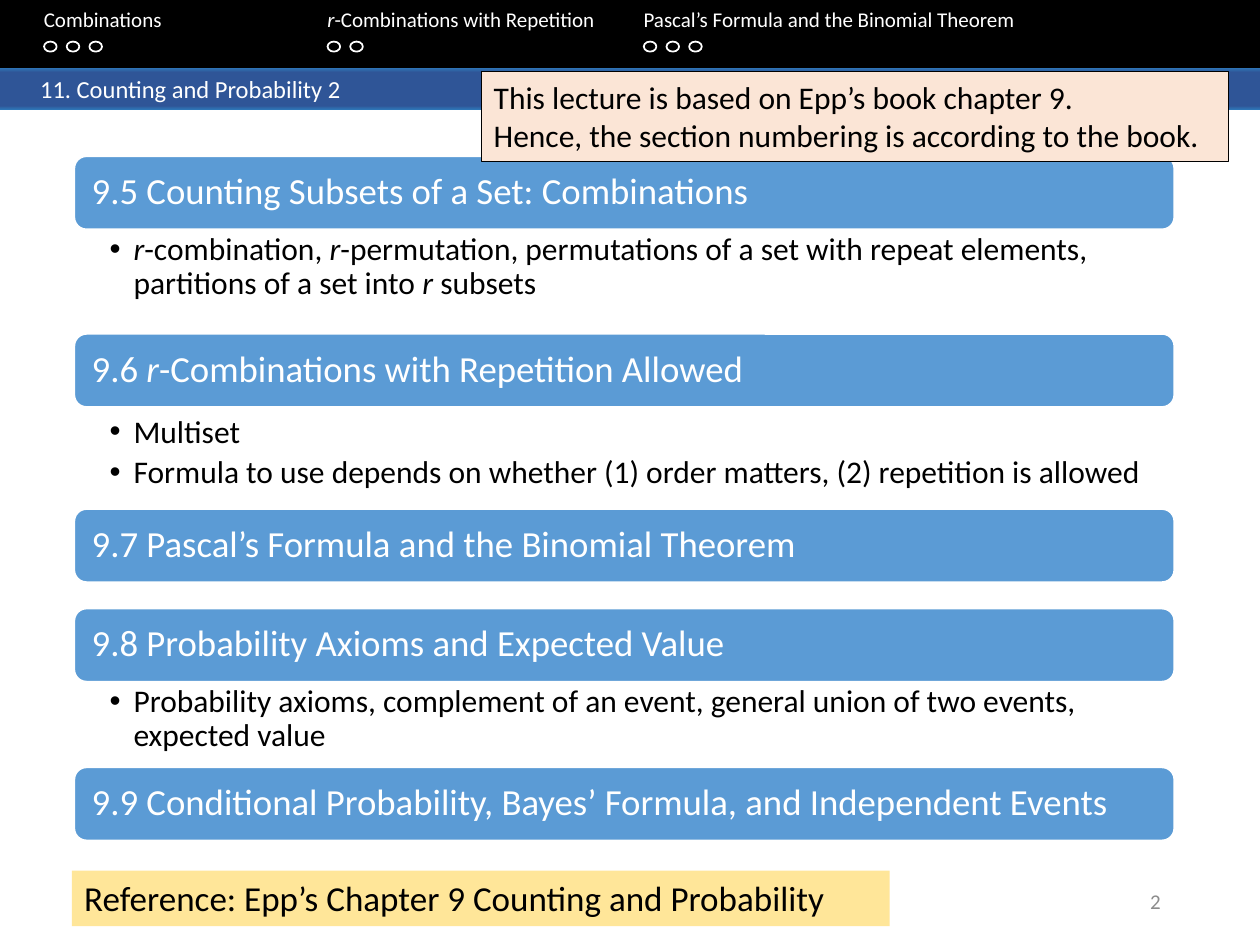
from lxml import etree
from pptx import Presentation
from pptx.dml.color import RGBColor
from pptx.enum.shapes import MSO_SHAPE
from pptx.enum.text import MSO_ANCHOR, PP_ALIGN
from pptx.oxml import parse_xml
from pptx.oxml.ns import nsdecls, qn
from pptx.util import Inches, Pt

RECT, ROUND, OVAL = MSO_SHAPE.RECTANGLE, MSO_SHAPE.ROUNDED_RECTANGLE, MSO_SHAPE.OVAL
TOP, MIDDLE = MSO_ANCHOR.TOP, MSO_ANCHOR.MIDDLE
LEFT, RIGHT = PP_ALIGN.LEFT, PP_ALIGN.RIGHT

BLACK = RGBColor(0x00, 0x00, 0x00)
WHITE = RGBColor(0xFF, 0xFF, 0xFF)
GREY = RGBColor(0x8C, 0x8C, 0x8C)
BAR_BLUE = RGBColor(0x5B, 0x9B, 0xD5)
EDGE_BLUE = RGBColor(0x2E, 0x75, 0xB6)
DEEP_BLUE = RGBColor(0x2F, 0x55, 0x97)
YELLOW = RGBColor(0xFF, 0xE6, 0x99)
PEACH = RGBColor(0xFB, 0xE5, 0xD6)

# The grid has 100 columns and 75 rows, each a tenth of an inch
COLS, ROWS = 100, 75
CELL = Inches(0.1)
PLAIN_INSETS = (1, 0.5, 1, 0.5)


def grid(n):
    return round(n * CELL)


class Deck:
    font = "Calibri"

    def __init__(self):
        self.prs = Presentation()
        self.prs.slide_width, self.prs.slide_height = grid(COLS), grid(ROWS)
        self.s = self.prs.slides.add_slide(self.prs.slide_layouts[6])

    def shape(self, kind, box, fill=None, line=None, width=1):
        sp = self.s.shapes.add_shape(kind, *map(grid, box))
        sp.shadow.inherit = False
        if fill is None:
            sp.fill.background()
        else:
            sp.fill.solid()
            sp.fill.fore_color.rgb = fill
        if line is None:
            sp.line.fill.background()
        else:
            sp.line.color.rgb = line
            sp.line.width = Pt(width)
        return sp

    def gradient(self, sp, stops):
        """Fill a shape from top to bottom with (percent, colour) stops."""
        sp.fill.gradient()
        sp.fill.gradient_angle = 270
        gs_lst = sp.element.spPr.find(qn("a:gradFill")).find(qn("a:gsLst"))
        for gs in list(gs_lst):
            gs_lst.remove(gs)
        for percent, colour in stops:
            gs_lst.append(parse_xml(
                f'<a:gs {nsdecls("a")} pos="{percent * 1000}">'
                f'<a:srgbClr val="{colour}"/></a:gs>'))

    def textbox(self, box):
        return self.s.shapes.add_textbox(*map(grid, box))

    def add_text(self, sp, lines, size, colour=BLACK, anchor=TOP, align=LEFT,
                 insets=PLAIN_INSETS, tabs=(), bullet=False, spacing=None):
        """Put lines into a shape; text between asterisks is italic."""
        tf = sp.text_frame
        sides = ("margin_left", "margin_top", "margin_right", "margin_bottom")
        layout = dict(zip(sides, map(grid, insets)),
                      word_wrap=True, vertical_anchor=anchor)
        for name, value in layout.items():
            setattr(tf, name, value)
        for i, line in enumerate(lines):
            p = tf.paragraphs[0] if i == 0 else tf.add_paragraph()
            p.alignment = align
            if bullet:
                self.bullet(p)
            if tabs:
                self.tabs(p, tabs)
            if spacing:
                p.line_spacing = spacing
            for j, part in enumerate(line.split("*")):
                if part:
                    r = p.add_run()
                    r.text = part
                    style = dict(name=self.font, size=Pt(size), italic=j % 2 == 1)
                    for name, value in style.items():
                        setattr(r.font, name, value)
                    r.font.color.rgb = colour

    def bullet(self, p):
        p.space_after = Pt(3.6)
        pPr = p._p.get_or_add_pPr()
        pPr.set("marL", str(grid(1.9)))
        pPr.set("indent", str(grid(-1.9)))
        etree.SubElement(pPr, qn("a:buFont")).set("typeface", "Arial")
        etree.SubElement(pPr, qn("a:buChar")).set("char", "•")

    def tabs(self, p, stops):
        tab_list = etree.SubElement(p._p.get_or_add_pPr(), qn("a:tabLst"))
        for stop in stops:
            tab = etree.SubElement(tab_list, qn("a:tab"))
            tab.set("pos", str(grid(stop)))
            tab.set("algn", "l")

    def section(self, top, title, points=(), gap=0):
        """Draw a section bar, with its bullet points below."""
        height = 5.8
        bar = self.shape(ROUND, (5.9, top, 87.3, height), BAR_BLUE, WHITE)
        self.add_text(bar, [title], 21, WHITE, MIDDLE,
                      insets=(1.1, 0.9, 1.1, 0.9), spacing=0.9)
        if points:
            body = self.textbox((5.9, top + height + gap, 87.3, 6.2))
            self.add_text(body, points, 18, insets=(2.8, 0.3, 1.4, 0.3),
                          bullet=True, spacing=0.9)


def main():
    deck = Deck()

    # Chapter band
    band = deck.shape(RECT, (0, 5.4, COLS, 3.3), DEEP_BLUE)
    deck.gradient(band, [(0, EDGE_BLUE), (11, DEEP_BLUE),
                         (91, DEEP_BLUE), (100, EDGE_BLUE)])
    deck.add_text(band, ["\t11. Counting and Probability 2"], 14, WHITE, tabs=[2.2])

    # Slide number
    number = deck.textbox((70.6, 69.5, 22.5, 4))
    deck.add_text(number, ["2"], 12, GREY, MIDDLE, RIGHT)

    # Outline: top row, title, bullet points, gap above the points
    sections = [
        (12.4, "9.5 Counting Subsets of a Set: Combinations",
         ["*r*-combination, *r*-permutation, permutations of a set with repeat "
          "elements, partitions of a set into *r* subsets"], 0),
        (26.5, "9.6 *r*-Combinations with Repetition Allowed",
         ["Multiset", "Formula to use depends on whether (1) order matters, "
          "(2) repetition is allowed"], 0.4),
        (40.4, "9.7 Pascal’s Formula and the Binomial Theorem", [], 0),
        (48.3, "9.8 Probability Axioms and Expected Value",
         ["Probability axioms, complement of an event, general union of two "
          "events, expected value"], 0),
        (60.9, "9.9 Conditional Probability, Bayes’ Formula, and Independent Events",
         [], 0),
    ]
    for section in sections:
        deck.section(*section)

    # Navigation header: left column, title, number of progress dots
    topics = [
        (3.5, "Combinations", 3),
        (26, "*r*-Combinations with Repetition", 2),
        (51.1, "Pascal’s Formula and the Binomial Theorem", 3),
    ]
    header = deck.shape(RECT, (0, 0, COLS, 5.4), BLACK)
    titles = "".join("\t" + title for _, title, _ in topics)
    deck.add_text(header, [titles], 12, WHITE, tabs=[left - 1 for left, _, _ in topics])
    for left, _, dots in topics:
        for i in range(dots):
            deck.shape(OVAL, (left + 1.8 * i, 3.3, 1, 0.8), line=WHITE)

    # Reference and note
    reference = deck.shape(RECT, (5.7, 69.1, 64.9, 4.4), YELLOW)
    deck.add_text(reference, ["Reference: Epp’s Chapter 9 Counting and Probability"], 20)
    note = deck.shape(RECT, (38.2, 5.7, 59.3, 7.1), PEACH, BLACK, 0.75)
    deck.add_text(note, ["This lecture is based on Epp’s book chapter 9.",
                         "Hence, the section numbering is according to the book."], 18)

    deck.prs.save("out.pptx")


if __name__ == "__main__":
    main()
